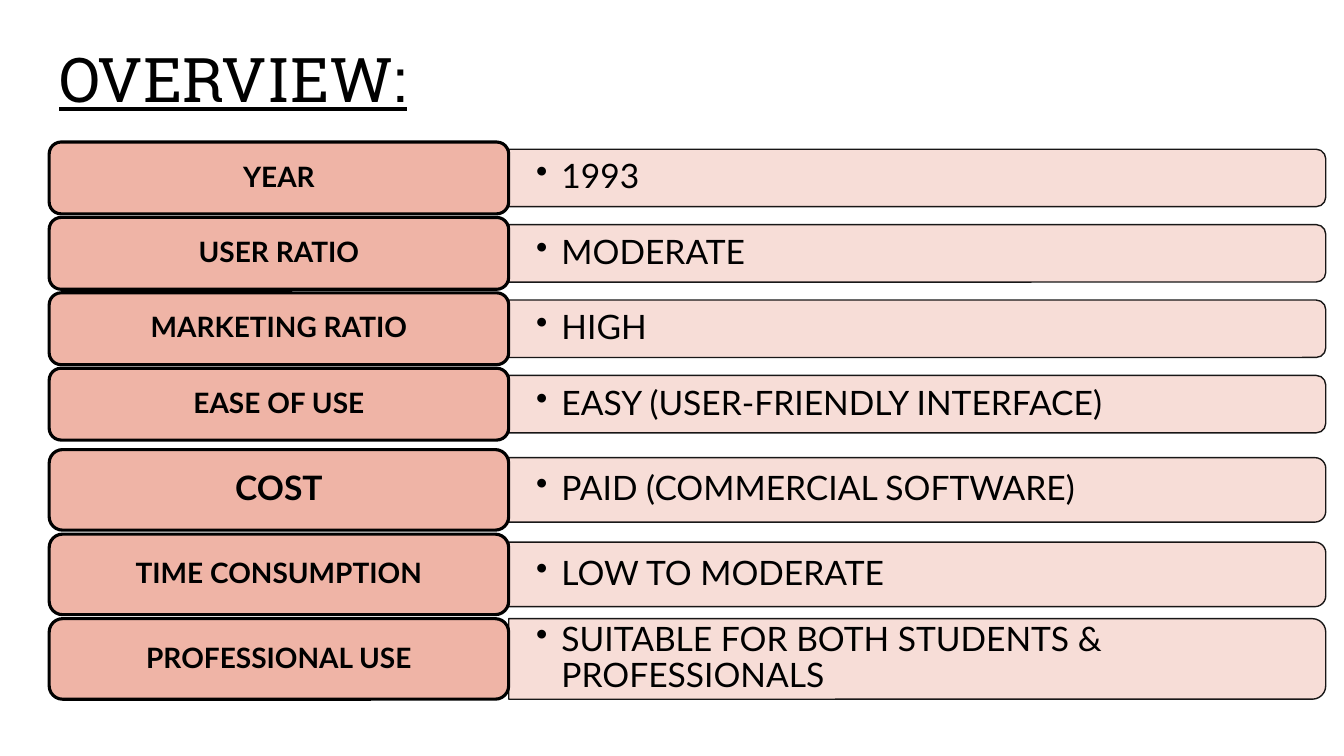
import lxml.etree
import pptx
import pptx.dml.color
import pptx.enum.shapes
import pptx.enum.text
import pptx.oxml.ns
import pptx.util

Cm = pptx.util.Cm
Pt = pptx.util.Pt
qn = pptx.oxml.ns.qn
MSO_SHAPE = pptx.enum.shapes.MSO_SHAPE
PP_ALIGN = pptx.enum.text.PP_ALIGN

COLOURS = {"label": "EFB4A6", "bar": "F7DAD3", "ink": "000000"}
LABEL_WIDTH = 11.58
BAR_SHARE = 0.8

UPPER_ROWS = [
    ("YEAR", 20, "1993"),
    ("USER RATIO", 20, "MODERATE"),
    ("MARKETING RATIO", 20, "HIGH"),
    ("EASE OF USE", 20, "EASY (USER-FRIENDLY INTERFACE)"),
]
LOWER_ROWS = [
    ("COST", 24, "PAID (COMMERCIAL SOFTWARE)"),
    ("TIME CONSUMPTION", 20, "LOW TO MODERATE"),
    ("PROFESSIONAL USE", 20, "SUITABLE FOR BOTH STUDENTS & PROFESSIONALS"),
]


def colour(name):
    return pptx.dml.color.RGBColor.from_string(COLOURS[name])


def write(shape, text, font, size, alignment=PP_ALIGN.LEFT, margins=(0.25, 0.13)):
    frame = shape.text_frame
    frame.text = text
    frame.word_wrap = True
    frame.vertical_anchor = pptx.enum.text.MSO_ANCHOR.MIDDLE
    frame.margin_left = frame.margin_right = Cm(margins[0])
    frame.margin_top = frame.margin_bottom = Cm(margins[1])
    paragraph = frame.paragraphs[0]
    paragraph.alignment = alignment
    paragraph.line_spacing = 0.9
    run = paragraph.runs[0]
    run.font.name = font
    run.font.size = Pt(size)
    run.font.color.rgb = colour("ink")
    return paragraph, run


def add_panel(slide, kind, box, fill, line_width):
    shape = slide.shapes.add_shape(kind, *map(Cm, box))
    shape.shadow.inherit = False
    shape.fill.solid()
    shape.fill.fore_color.rgb = colour(fill)
    shape.line.color.rgb = colour("ink")
    shape.line.width = Pt(line_width)
    return shape


def add_title(slide, box):
    shape = slide.shapes.add_textbox(*map(Cm, box))
    paragraph, run = write(shape, "OVERVIEW:", "Roboto Slab", 44)
    run.font.underline = True


def add_label(slide, box, text, size):
    shape = add_panel(slide, MSO_SHAPE.ROUNDED_RECTANGLE, box, "label", 2.25)
    paragraph, run = write(shape, text, "Lato", size, PP_ALIGN.CENTER, (0.3, 0.2))
    run.font.bold = True


def add_bar(slide, box, text):
    left, top, width, height = box
    shift = (width - height) / 2
    bar = add_panel(slide, MSO_SHAPE.ROUND_2_SAME_RECTANGLE,
                    (left + shift, top - shift, height, width), "bar", 1)
    bar.rotation = 90
    for value in bar.element.spPr.iter(qn("a:srgbClr")):
        lxml.etree.SubElement(value, qn("a:alpha"), val="90000")

    shape = slide.shapes.add_textbox(*map(Cm, box))
    paragraph, run = write(shape, text, "Lato", 24, margins=(0.69, 0))
    properties = paragraph._p.get_or_add_pPr()
    properties.set("marL", str(Cm(0.64)))
    properties.set("indent", str(-Cm(0.64)))
    lxml.etree.SubElement(properties, qn("a:buChar"), char="•")


def add_rows(slide, box, pitch, rows):
    left, top, width, height = box
    for index, (label, size, text) in enumerate(rows):
        row_top = top + index * pitch
        bar_height = height if len(text) > 40 else height * BAR_SHARE
        bar_box = (left + LABEL_WIDTH, row_top + (height - bar_height) / 2,
                   width - LABEL_WIDTH, bar_height)
        add_bar(slide, bar_box, text)
        add_label(slide, (left, row_top, LABEL_WIDTH, height), label, size)


def main():
    presentation = pptx.Presentation()
    presentation.slide_width = Cm(33.87)
    presentation.slide_height = Cm(19.05)
    slide = presentation.slides.add_slide(presentation.slide_layouts[6])
    add_title(slide, (1.24, 0.25, 29.21, 3.68))
    add_rows(slide, (1.24, 3.58, 32.17, 1.81), 1.9, UPPER_ROWS)
    add_rows(slide, (1.24, 11.33, 32.17, 2.03), 2.13, LOWER_ROWS)
    presentation.save("out.pptx")


if __name__ == "__main__":
    main()
